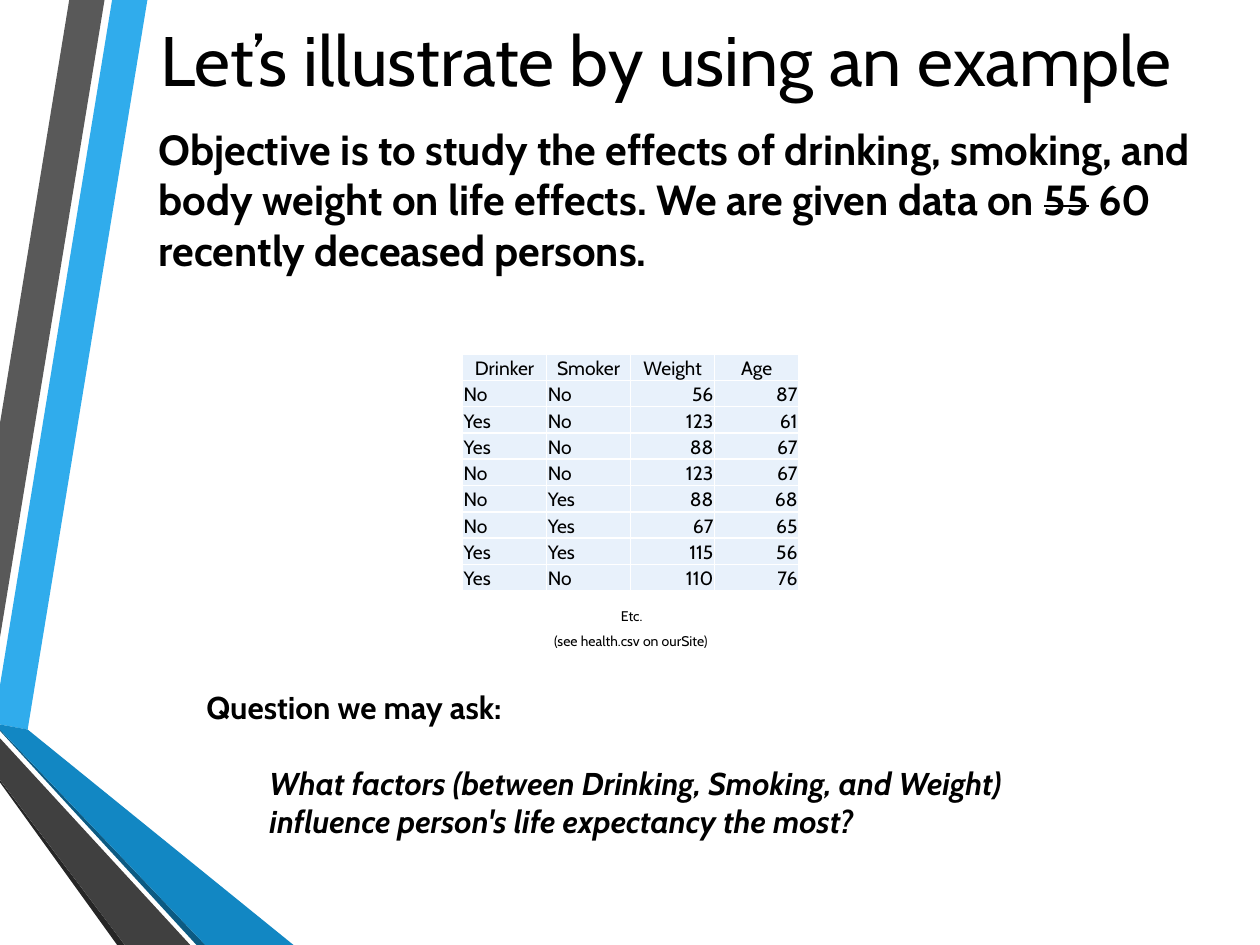
import pptx
import pptx.util
import pptx.dml.color
import pptx.enum.text
import pptx.oxml
import pptx.oxml.ns

Inches = pptx.util.Inches
Pt = pptx.util.Pt
RGBColor = pptx.dml.color.RGBColor
ALIGN = pptx.enum.text.PP_ALIGN
ANCHOR = pptx.enum.text.MSO_ANCHOR
FIT = pptx.enum.text.MSO_AUTO_SIZE

BLACK = RGBColor(0x00, 0x00, 0x00)
SKY = RGBColor(0x30, 0xAC, 0xEC)
BLUE = RGBColor(0x12, 0x87, 0xC3)
NAVY = RGBColor(0x0C, 0x5A, 0x82)
GRAY = RGBColor(0x59, 0x59, 0x59)
CHARCOAL = RGBColor(0x40, 0x40, 0x40)
SOOT = RGBColor(0x26, 0x26, 0x26)
PALE = RGBColor(0xE8, 0xF1, 0xFB)
WHITE = RGBColor(0xFF, 0xFF, 0xFF)


def write(para, text, size, bold=False, italic=False, strike=False, align=ALIGN.LEFT):
    para.alignment = align
    span = para.add_run()
    span.text = text
    font = span.font
    font.name, font.size, font.bold, font.italic = "Cabin", Pt(size), bold, italic
    font.color.rgb = BLACK
    if strike:
        font._element.set("strike", "sngStrike")


def place(box, left, top, width, height):
    box.left, box.top = Inches(left), Inches(top)
    box.width, box.height = Inches(width), Inches(height)


deck = pptx.Presentation()
deck.slide_width, deck.slide_height = Inches(10), Inches(7.5)
page = deck.slides.add_slide(deck.slide_layouts[1])
title, body = page.shapes.title, page.placeholders[1]

# Folded ribbons along the left edge, behind the text
ribbons = [
    (SKY, [(0, 5.44), (0, 5.75), (0.22, 5.79), (1.17, 0), (0.89, 0)]),
    (GRAY, [(0.83, 0), (0.55, 0), (0, 3.36), (0, 5.06)]),
    (SOOT, [(0, 6.19), (0, 6.21), (0.93, 7.5), (0.99, 7.5)]),
    (NAVY, [(0, 5.79), (0, 5.8), (1.56, 7.5), (1.63, 7.5)]),
    (BLUE, [(0, 5.79), (1.63, 7.5), (2.33, 7.5), (0.22, 5.79), (0, 5.75)]),
    (CHARCOAL, [(0, 6.19), (0.99, 7.5), (1.51, 7.5), (0, 5.86)]),
]
for color, corners in ribbons:
    points = [(Inches(x), Inches(y)) for x, y in corners]
    outline = page.shapes.build_freeform(*points[0])
    outline.add_line_segments(points[1:], close=True)
    ribbon = outline.convert_to_shape()
    ribbon.shadow.inherit = False
    ribbon.fill.solid()
    ribbon.fill.fore_color.rgb = color
    ribbon.line.fill.background()
    title._element.addprevious(ribbon._element)

# Title
place(title, 1.07, 0, 8.43, 0.93)
title.text_frame.auto_size = FIT.NONE
title.text_frame.vertical_anchor = ANCHOR.MIDDLE
write(title.text_frame.paragraphs[0], "Let’s illustrate by using an example", 40,
      align=ALIGN.CENTER)

# Objective
place(body, 1.16, 0.93, 8.43, 5.06)
body.text_frame.auto_size = FIT.NONE
para = body.text_frame.paragraphs[0]
para.space_after = Pt(6)
write(para, "Objective is to study the effects of drinking, smoking, and body weight "
      "on life effects. We are given data on ", 24, bold=True)
write(para, "55", 24, bold=True, strike=True)
write(para, " 60 recently deceased persons.", 24, bold=True)
properties = para._p.get_or_add_pPr()
properties.set("marL", "0")
properties.set("indent", "0")
properties.append(pptx.oxml.parse_xml("<a:buNone %s/>" % pptx.oxml.ns.nsdecls("a")))

# Question
box = page.shapes.add_textbox(Inches(1.54), Inches(5.41), Inches(7.21), Inches(1.31))
box.text_frame.word_wrap = True
write(box.text_frame.paragraphs[0], "Question we may ask:", 18, bold=True)
para = box.text_frame.add_paragraph()
para.level = 1
para.space_before = Pt(22)
para._p.get_or_add_pPr().set("marL", str(Inches(0.5)))
write(para, "What factors (between Drinking, Smoking, and Weight) "
      "influence person's life expectancy the most?", 18, bold=True, italic=True)

# Notes under the table
for text, left, top, width in [("Etc.", 4.83, 4.77, 0.4),
                               ("(see health.csv on ourSite)", 4.3, 4.97, 1.46)]:
    box = page.shapes.add_textbox(Inches(left), Inches(top), Inches(width), Inches(0.24))
    box.text_frame.word_wrap = False
    write(box.text_frame.paragraphs[0], text, 8)

# Data table
records = [
    ("Drinker", "Smoker", "Weight", "Age"),
    ("No", "No", 56, 87),
    ("Yes", "No", 123, 61),
    ("Yes", "No", 88, 67),
    ("No", "No", 123, 67),
    ("No", "Yes", 88, 68),
    ("No", "Yes", 67, 65),
    ("Yes", "Yes", 115, 56),
    ("Yes", "No", 110, 76),
]
table = page.shapes.add_table(len(records), 4, Inches(3.67), Inches(2.81),
                              Inches(2.67), Inches(1.88)).table
border = ('<a:%s %s w="12700"><a:solidFill><a:srgbClr val="%s"/></a:solidFill></a:%s>')
for r, record in enumerate(records):
    for c, value in enumerate(record):
        cell = table.cell(r, c)
        cell.margin_left = cell.margin_right = cell.margin_top = Inches(0.01)
        cell.margin_bottom = 0
        cell.vertical_anchor = ANCHOR.BOTTOM
        for side in ("lnL", "lnR", "lnT", "lnB"):
            cell._tc.get_or_add_tcPr().append(pptx.oxml.parse_xml(
                border % (side, pptx.oxml.ns.nsdecls("a"), WHITE, side)))
        cell.fill.solid()
        cell.fill.fore_color.rgb = PALE
        align = ALIGN.CENTER if r == 0 else ALIGN.LEFT if c < 2 else ALIGN.RIGHT
        write(cell.text_frame.paragraphs[0], str(value), 11, align=align)

deck.save("out.pptx")
